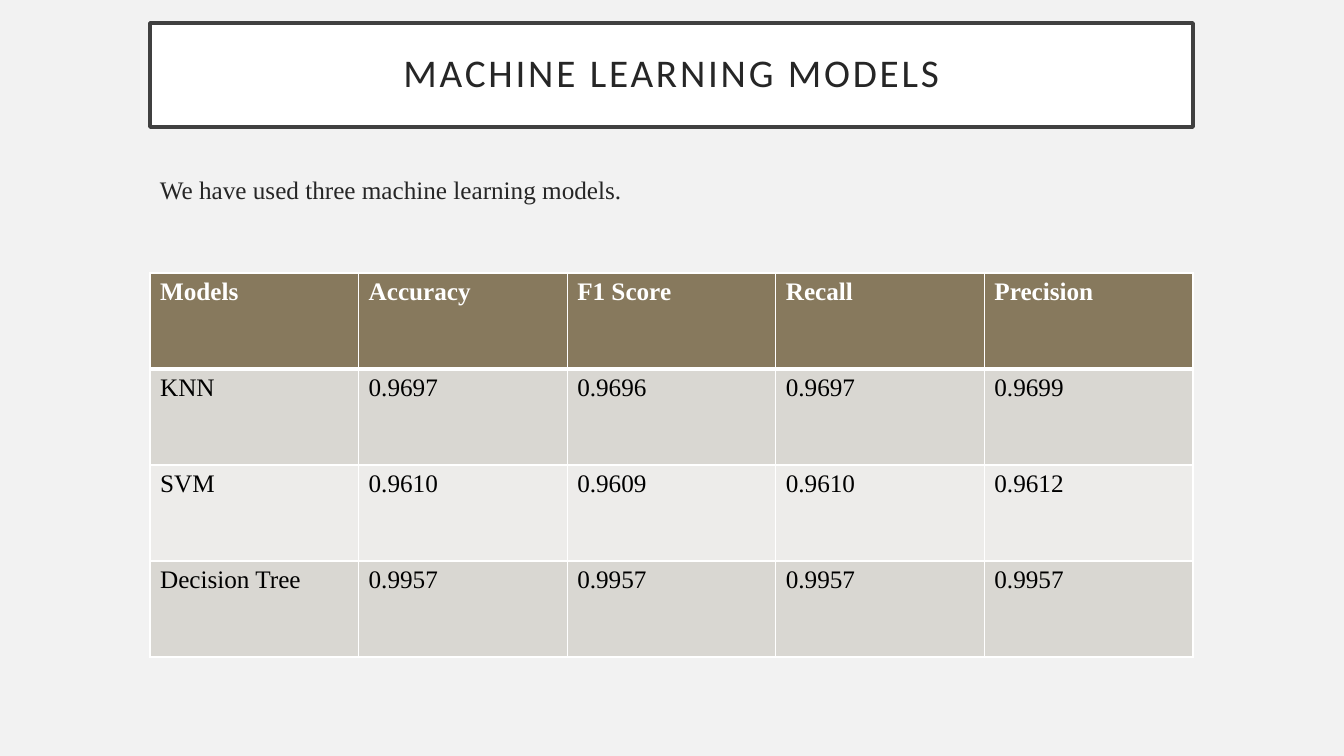
from lxml import etree
from pptx import Presentation, util as u
from pptx.dml.color import RGBColor
from pptx.enum import text
from pptx.oxml import ns

TITLE = "MACHINE LEARNING MODELS"
INTRO = "We have used three machine learning models."
SCORES = [
    ("Models", "Accuracy", "F1 Score", "Recall", "Precision"),
    ("KNN", "0.9697", "0.9696", "0.9697", "0.9699"),
    ("SVM", "0.9610", "0.9609", "0.9610", "0.9612"),
    ("Decision Tree", "0.9957", "0.9957", "0.9957", "0.9957"),
]
COLORS = {
    "background": "F2F2F2", "white": "FFFFFF", "frame": "404040",
    "ink": "262626", "black": "000000", "header": "87795D",
    "odd": "D9D7D2", "even": "EDECEA",
}
LEFT, WIDTH = 150, 1043
TITLE_TOP, TITLE_HEIGHT, TITLE_INSET = 23, 104, 20
INTRO_TOP, INTRO_HEIGHT = 169, 40
TABLE_TOP, ROW_HEIGHT = 273, 96


def px(length):
    return u.Emu(round(length * 914400 / 100.8))


def color(name):
    return RGBColor.from_string(COLORS[name])


def paint(fill, name):
    fill.solid()
    fill.fore_color.rgb = color(name)


def write(frame, words, *, size=18, font="Times New Roman", ink="ink",
          bold=False, align=text.PP_ALIGN.LEFT, line_spacing=1.0, tracking=0):
    frame.word_wrap = True
    paragraph = frame.paragraphs[0]
    paragraph.alignment = align
    paragraph.line_spacing = line_spacing
    paragraph.space_before = u.Pt(0)
    run = paragraph.add_run()
    run.text = words
    run.font.size = u.Pt(size)
    run.font.name = font
    run.font.bold = bold
    run.font.color.rgb = color(ink)
    if tracking:
        run._r.get_or_add_rPr().set("spc", str(tracking * 100))


def add_borders(cell, widths):
    properties = cell._tc.get_or_add_tcPr()
    for side, width in zip("LRTB", widths):
        line = etree.SubElement(properties, ns.qn(f"a:ln{side}"), w=str(u.Pt(width)))
        fill = etree.SubElement(line, ns.qn("a:solidFill"))
        etree.SubElement(fill, ns.qn("a:srgbClr"), val=COLORS["white"])


def add_title(slide):
    title = slide.shapes.title
    title.left, title.top = px(LEFT), px(TITLE_TOP)
    title.width, title.height = px(WIDTH), px(TITLE_HEIGHT)
    paint(title.fill, "white")
    title.line.color.rgb = color("frame")
    title.line.width = u.Pt(2.5)
    frame = title.text_frame
    frame.auto_size = text.MSO_AUTO_SIZE.NONE
    frame.vertical_anchor = text.MSO_ANCHOR.MIDDLE
    frame.margin_left = frame.margin_right = px(TITLE_INSET)
    frame.margin_top = frame.margin_bottom = px(TITLE_INSET)
    write(frame, TITLE, size=28, font="Calibri", align=text.PP_ALIGN.CENTER,
          line_spacing=0.9, tracking=2)


def add_scores(slide):
    rows, columns = len(SCORES), len(SCORES[0])
    table = slide.shapes.add_table(rows, columns, px(LEFT), px(TABLE_TOP),
                                   px(WIDTH), px(rows * ROW_HEIGHT)).table
    for column in table.columns:
        column.width = px(WIDTH / columns)
    for index, values in enumerate(SCORES):
        table.rows[index].height = px(ROW_HEIGHT)
        header = index == 0
        band = "header" if header else "odd" if index % 2 else "even"
        widths = (1, 1, 3 if index == 1 else 1, 3 if header else 1)
        for position, value in enumerate(values):
            cell = table.cell(index, position)
            add_borders(cell, widths)
            paint(cell.fill, band)
            write(cell.text_frame, value, ink="white" if header else "black", bold=header)


def main():
    presentation = Presentation()
    presentation.slide_width, presentation.slide_height = px(1344), px(756)
    slide = presentation.slides.add_slide(presentation.slide_layouts[5])
    paint(slide.background.fill, "background")
    add_title(slide)
    intro = slide.shapes.add_textbox(px(LEFT), px(INTRO_TOP), px(WIDTH), px(INTRO_HEIGHT))
    write(intro.text_frame, INTRO)
    add_scores(slide)
    presentation.save("out.pptx")


if __name__ == "__main__":
    main()
